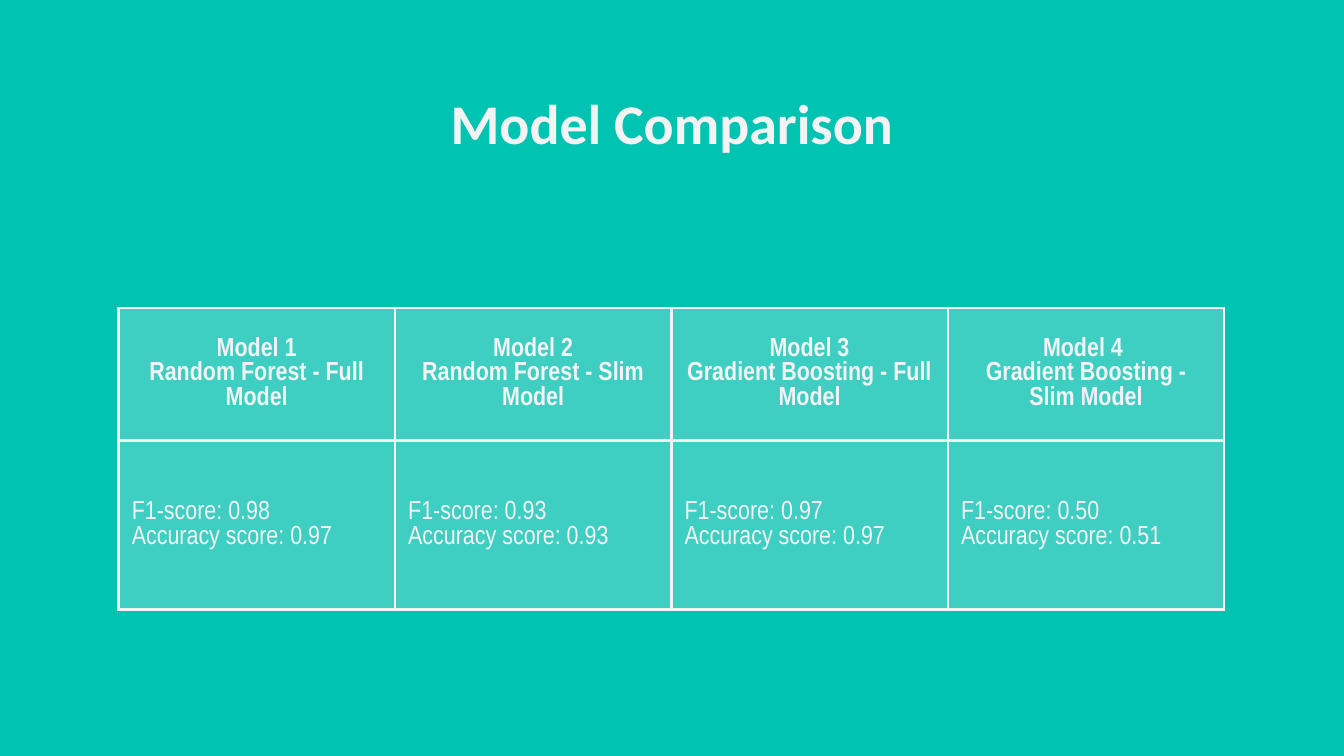
from collections import namedtuple

from lxml.etree import SubElement
from pptx import Presentation
from pptx.dml.color import RGBColor
from pptx.enum.text import MSO_ANCHOR as Anchor, MSO_AUTO_SIZE as AutoSize, PP_ALIGN as Align
from pptx.oxml.ns import qn
from pptx.util import Cm, Pt

Box = namedtuple("Box", "left top width height")

COLORS = {"background": "00C3B1", "light": "F3F3F3"}
FORMATS = {
    "title": {"name": "Calibri", "size": Pt(30), "bold": True},
    "model": {"name": "Arial Narrow", "size": Pt(14), "bold": True},
    "scores": {"name": "Arial Narrow", "size": Pt(14), "bold": False},
}
MARGINS = ("margin_left", "margin_right", "margin_top", "margin_bottom")
INSET = Cm(0.25)
BORDER = Pt(1.5)
CELL_OPACITY = 26
HEADER_SHARE = 0.44
MODELS = [
    ("Model 1", "Random Forest - Full Model", "0.98", "0.97"),
    ("Model 2", "Random Forest - Slim Model", "0.93", "0.93"),
    ("Model 3", "Gradient Boosting - Full Model", "0.97", "0.97"),
    ("Model 4 ", "Gradient Boosting - Slim Model", "0.50", "0.51"),
]


def write_lines(frame, lines, style, align):
    """Write one formatted paragraph for each line."""
    frame.text = "\n".join(lines)
    for paragraph in frame.paragraphs:
        paragraph.alignment = align
        for run in paragraph.runs:
            run.font.color.rgb = RGBColor.from_string(COLORS["light"])
            for attribute, value in FORMATS[style].items():
                setattr(run.font, attribute, value)


def set_margins(target):
    """Give a cell or text frame the same inset on every side."""
    for margin in MARGINS:
        setattr(target, margin, INSET)


def add_solid_fill(parent, color, opacity=100):
    """Append a solid fill with an opacity in percent."""
    fill = SubElement(parent, qn("a:solidFill"))
    tint = SubElement(fill, qn("a:srgbClr"), val=color)
    SubElement(tint, qn("a:alpha"), val=str(opacity * 1000))


def paint_cell(cell):
    """Draw the borders and the translucent fill of a cell."""
    properties = cell._tc.get_or_add_tcPr()
    for side in ("lnL", "lnR", "lnT", "lnB"):
        line = SubElement(properties, qn(f"a:{side}"), w=str(BORDER))
        add_solid_fill(line, COLORS["light"])
    add_solid_fill(properties, COLORS["light"], CELL_OPACITY)


def place_title(slide, box):
    """Move and format the title placeholder."""
    title = slide.shapes.title
    title.left, title.top, title.width, title.height = box
    frame = title.text_frame
    frame.auto_size = AutoSize.NONE
    frame.vertical_anchor = Anchor.TOP
    set_margins(frame)
    write_lines(frame, ["Model Comparison"], "title", Align.CENTER)


def add_comparison(slide, box):
    """Add the table with one column for each model."""
    table = slide.shapes.add_table(2, len(MODELS), *box).table
    header_height = int(box.height * HEADER_SHARE)
    table.rows[0].height = header_height
    table.rows[1].height = box.height - header_height
    for index, (model, method, f1, accuracy) in enumerate(MODELS):
        scores = [f"F1-score: {f1}", f"Accuracy score: {accuracy}"]
        contents = [([model, method], "model", Align.CENTER), (scores, "scores", Align.LEFT)]
        for row, content in enumerate(contents):
            cell = table.cell(row, index)
            cell.vertical_anchor = Anchor.MIDDLE
            set_margins(cell)
            write_lines(cell.text_frame, *content)
            paint_cell(cell)


def main():
    """Build and save the slide."""
    presentation = Presentation()
    presentation.slide_width, presentation.slide_height = Cm(25.4), Cm(14.29)
    slide = presentation.slides.add_slide(presentation.slide_layouts[5])
    background = slide.background.fill
    background.solid()
    background.fore_color.rgb = RGBColor.from_string(COLORS["background"])
    place_title(slide, Box(Cm(2), Cm(1.43), Cm(21.4), Cm(1.59)))
    add_comparison(slide, Box(Cm(2.24), Cm(5.82), Cm(20.9), Cm(5.7)))
    presentation.save("out.pptx")


if __name__ == "__main__":
    main()
